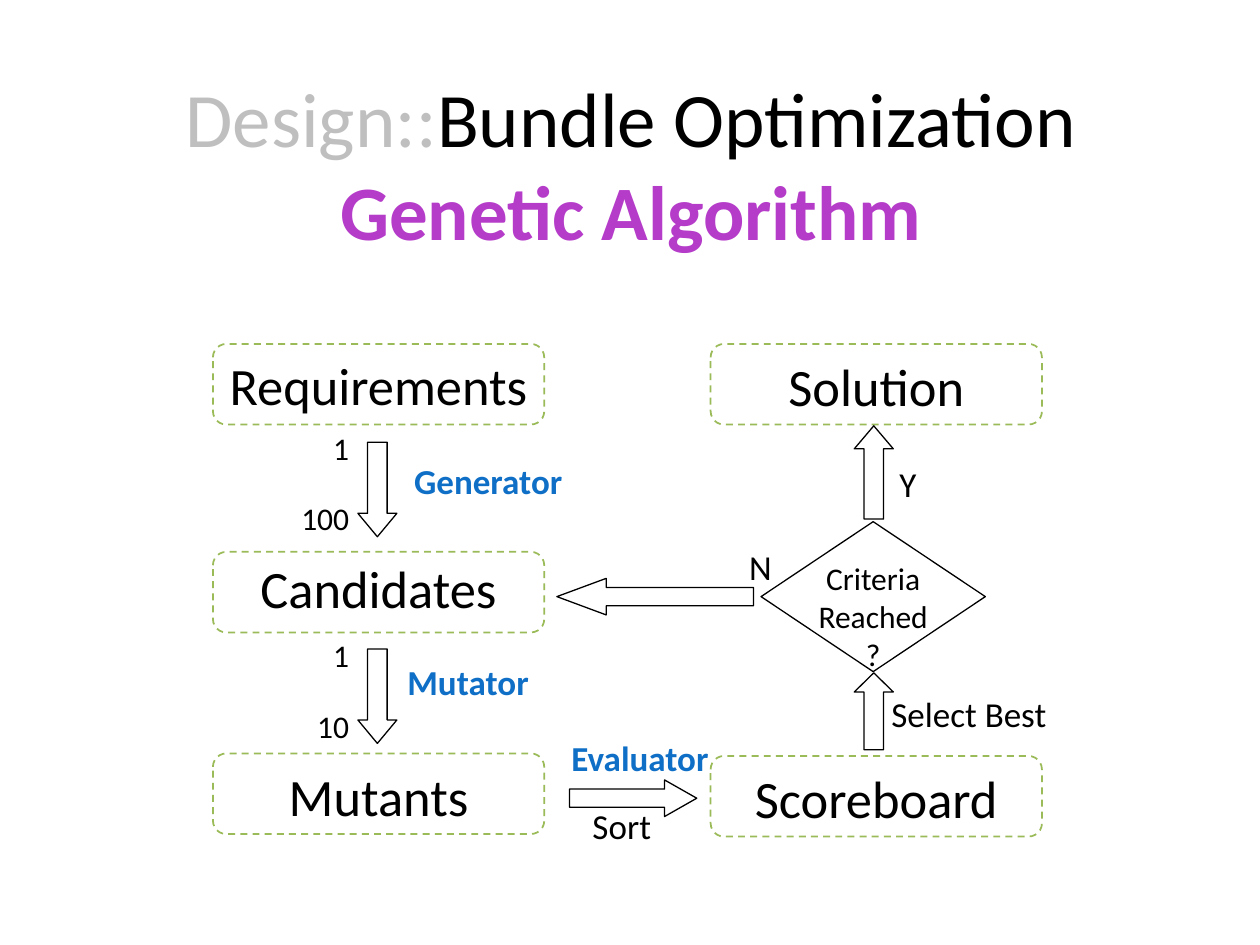
from dataclasses import dataclass

from pptx import Presentation
from pptx import util as u
from pptx.dml.color import RGBColor
from pptx.enum import dml, shapes, text

Inches = u.Inches
Kind = shapes.MSO_SHAPE
Align = text.PP_ALIGN
Anchor = text.MSO_ANCHOR


@dataclass(frozen=True)
class Theme:
    font: str = "Calibri"
    ink: str = "000000"
    paper: str = "FFFFFF"
    muted: str = "BFBFBF"
    accent: str = "B53BC9"
    operator: str = "0F6FC6"
    border: str = "9BBB59"
    title: int = 44
    stage: int = 30
    label: int = 20
    small: int = 18


THEME = Theme()
STAGE_SIZE = (2.63, 0.64)
LEFT, RIGHT = 1.69, 5.64
COUNT_EDGE = 2.87


def add_span(para, words, size, color=THEME.ink, bold=False):
    span = para.add_run()
    span.text = words
    span.font.name = THEME.font
    span.font.size = u.Pt(size)
    span.font.bold = bold
    span.font.color.rgb = RGBColor.from_string(color)


def set_frame(box, anchor, insets=(0.1, 0.05), spacing=6, align=Align.CENTER):
    frame = box.text_frame
    frame.word_wrap = True
    frame.vertical_anchor = anchor
    frame.margin_left = frame.margin_right = Inches(insets[0])
    frame.margin_top = frame.margin_bottom = Inches(insets[1])
    para = frame.paragraphs[0]
    para.alignment = align
    para.space_before = para.space_after = u.Pt(spacing)
    return para


def add_outlined(page, kind, place, color=THEME.ink, width=0.75):
    box = page.shapes.add_shape(kind, *map(Inches, place))
    box.shadow.inherit = False
    box.fill.solid()
    box.fill.fore_color.rgb = RGBColor.from_string(THEME.paper)
    box.line.color.rgb = RGBColor.from_string(color)
    box.line.width = u.Pt(width)
    return box


def add_title(page):
    box = page.shapes.add_textbox(*map(Inches, (0.51, 0.67, 9, 1.25)))
    para = set_frame(box, Anchor.MIDDLE, spacing=0)
    add_span(para, "Design::", THEME.title, THEME.muted)
    add_span(para, "Bundle Optimization", THEME.title)
    para.add_line_break()
    add_span(para, "Genetic Algorithm", THEME.title, THEME.accent, True)


def add_stage(page, words, left, top, anchor=Anchor.TOP, insets=(0.1, 0.05), spacing=6):
    place = (left, top, *STAGE_SIZE)
    box = add_outlined(page, Kind.ROUNDED_RECTANGLE, place, THEME.border, 1)
    box.line.dash_style = dml.MSO_LINE.DASH
    add_span(set_frame(box, anchor, insets, spacing), words, THEME.stage)


def add_decision(page):
    box = add_outlined(page, Kind.FLOWCHART_DECISION, (6.04, 4.14, 1.78, 1.19))
    para = set_frame(box, Anchor.TOP, (0, 0))
    add_span(para, "Criteria Reached?", THEME.small)


def add_arrow(page, kind, place, head):
    arrow = add_outlined(page, kind, place)
    arrow.adjustments[0] = 0.5
    arrow.adjustments[1] = head


def add_label(page, words, left, top, width, operator=False):
    box = page.shapes.add_textbox(*map(Inches, (left, top, width, 0.39)))
    para = set_frame(box, Anchor.MIDDLE, (0, 0))
    color = THEME.operator if operator else THEME.ink
    add_span(para, words, THEME.label, color, operator)


def add_count(page, words, top, width):
    place = (COUNT_EDGE - width, top, width, 0.4)
    box = page.shapes.add_textbox(*map(Inches, place))
    para = set_frame(box, Anchor.TOP, spacing=0, align=Align.RIGHT)
    box.text_frame.word_wrap = False
    add_span(para, words, THEME.small)


def main():
    deck = Presentation()
    deck.slide_width, deck.slide_height = Inches(10), Inches(7.5)
    page = deck.slides.add_slide(deck.slide_layouts[6])

    add_title(page)
    add_stage(page, "Requirements", LEFT, 2.73, Anchor.MIDDLE, (0, 0.05), 0)
    add_stage(page, "Candidates", LEFT, 4.38, insets=(0.1, 0))
    add_stage(page, "Mutants", LEFT, 5.98)
    add_stage(page, "Solution", RIGHT, 2.73)
    add_stage(page, "Scoreboard", RIGHT, 6)
    add_decision(page)

    for kind, place, head in (
        (Kind.DOWN_ARROW, (2.84, 3.51, 0.31, 0.75), 0.6),
        (Kind.DOWN_ARROW, (2.84, 5.15, 0.31, 0.75), 0.6),
        (Kind.RIGHT_ARROW, (4.52, 6.19, 1.01, 0.29), 0.88),
        (Kind.UP_ARROW, (6.78, 5.34, 0.31, 0.61), 0.49),
        (Kind.UP_ARROW, (6.78, 3.38, 0.31, 0.74), 0.59),
        (Kind.LEFT_ARROW, (4.42, 4.59, 1.56, 0.29), 1.35),
    ):
        add_arrow(page, kind, place, head)

    for words, left, top, width, operator in (
        ("Generator", 3.15, 3.62, 1.45, True),
        ("Mutator", 3.06, 5.21, 1.31, True),
        ("Evaluator", 4.53, 5.82, 1.1, True),
        ("Sort", 4.48, 6.36, 0.91, False),
        ("Select Best", 7.07, 5.47, 1.24, False),
        ("Y", 7.02, 3.64, 0.37, False),
        ("N", 5.85, 4.3, 0.37, False),
    ):
        add_label(page, words, left, top, width, operator)

    for words, top, width in (
        ("1", 3.36, 0.33),
        ("100", 3.91, 0.59),
        ("1", 5, 0.33),
        ("10", 5.56, 0.46),
    ):
        add_count(page, words, top, width)

    deck.save("out.pptx")


if __name__ == "__main__":
    main()
